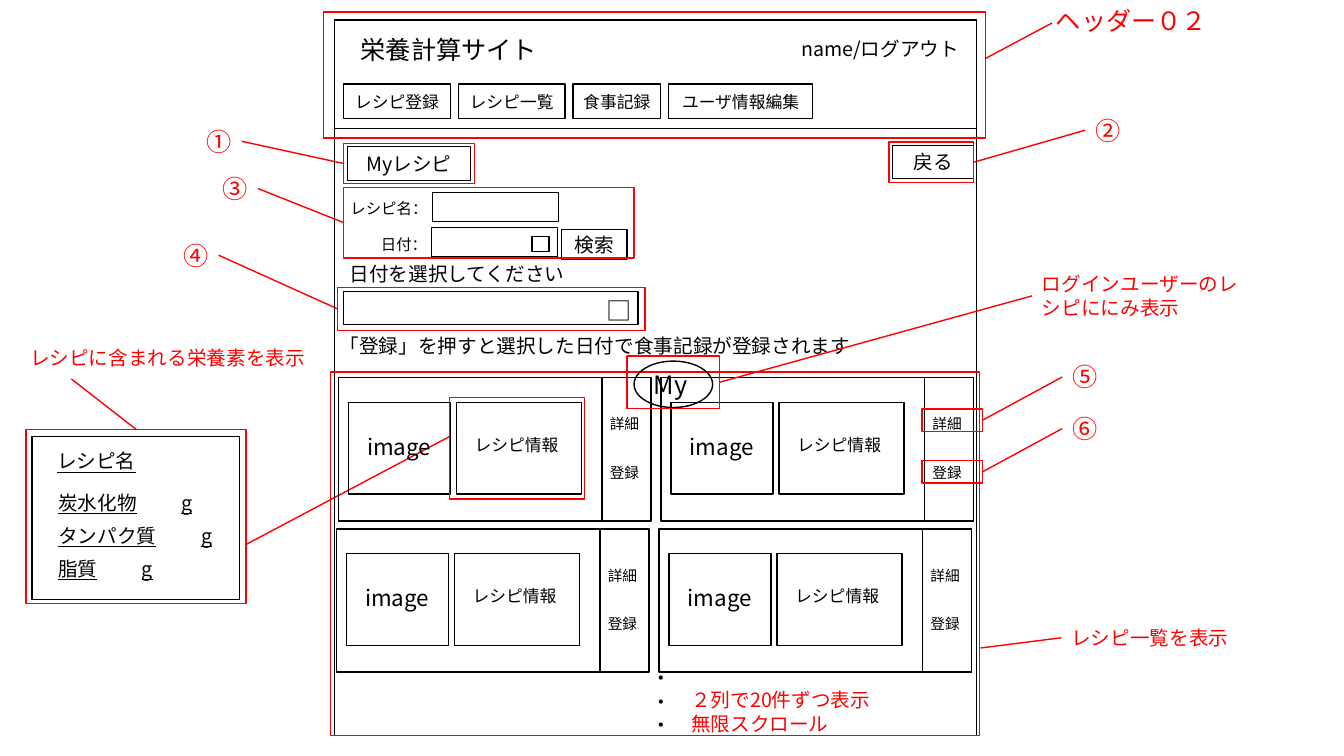
import pptx
import pptx.util
import pptx.dml.color
import pptx.enum.shapes
import pptx.enum.text
import pptx.oxml.ns
import lxml.etree

Cm, Pt = pptx.util.Cm, pptx.util.Pt
KIND = pptx.enum.shapes.MSO_SHAPE
ALIGN = pptx.enum.text.PP_ALIGN
FACE = "Noto Sans CJK JP"
INK, RED = "000000", "FF0000"
LEFT, RIGHT = 1, 3

deck = pptx.Presentation()
deck.slide_width, deck.slide_height = Cm(33.87), Cm(19.05)
slide = deck.slides.add_slide(deck.slide_layouts[6])


def paint(form, tone):
    form.rgb = pptx.dml.color.RGBColor.from_string(tone)


def style(target, values):
    for key, value in values.items():
        setattr(target, key, value)


def child(parent, tag, **attrs):
    return lxml.etree.SubElement(parent, pptx.oxml.ns.qn(tag), **attrs)


def place(box, x, y, w, h):
    """Lengths for a part set at x, y inside a box."""
    return [Cm(n) for n in (box[0] + x, box[1] + y, w, h)]


def write(frame, text, size, tone=INK, align=ALIGN.LEFT, under=None):
    for i, line in enumerate(text.split("\n")):
        para = frame.paragraphs[0] if i == 0 else frame.add_paragraph()
        para.alignment = align
        run = para.add_run()
        run.text = line
        style(run.font, {"name": FACE, "size": Pt(size), "underline": under})
        paint(run.font.color, tone)
        child(run.font._element, "a:ea", typeface=FACE)


def shape(box, x, y, w, h, tone=INK, kind=KIND.RECTANGLE):
    item = slide.shapes.add_shape(kind, *place(box, x, y, w, h))
    item.shadow.inherit = False
    item.fill.background()
    item.line.width = Pt(1)
    paint(item.line.color, tone)
    return item


def button(box, x, y, w, h, text, size=14):
    item = shape(box, x, y, w, h)
    item.text_frame.vertical_anchor = pptx.enum.text.MSO_ANCHOR.MIDDLE
    write(item.text_frame, text, size, align=ALIGN.CENTER)


def label(box, x, y, w, h, text, size=14, tone=INK, wrap=True, under=None):
    item = slide.shapes.add_textbox(*place(box, x, y, w, h))
    style(item.text_frame, {
        "word_wrap": wrap,
        "auto_size": pptx.enum.text.MSO_AUTO_SIZE.SHAPE_TO_FIT_TEXT})
    write(item.text_frame, text, size, tone, under=under)
    return item


def link(box, start=(0, 0), stop=(0, 0), head=None, tail=None):
    """Red line; head and tail are (shape, side) joints."""
    ends = [Cm(box[i] + point[i]) for point in (start, stop) for i in (0, 1)]
    line = slide.shapes.add_connector(
        pptx.enum.shapes.MSO_CONNECTOR.STRAIGHT, *ends)
    line.line.width = Pt(1)
    paint(line.line.color, RED)
    child(line._element.spPr, "a:effectLst")
    if head:
        line.begin_connect(*head)
    if tail:
        line.end_connect(*tail)


def mark(box, w, h, sign, x, y, side):
    """Red frame joined to its numbered sign."""
    frame = shape(box, 0, 0, w, h, RED)
    note = label(box, x, y, 1.14, 1.02, sign, 18, RED, wrap=False)
    link(box, head=(frame, side), tail=(note, LEFT + RIGHT - side))


# Site header with menu
def header(box):
    shape(box, 0.28, 0.2, 16.18, 2.74)
    label(box, 0.69, 0.43, 5.08, 1.02, "栄養計算サイト", 18)
    label(box, 11.79, 0.51, 4.75, 0.86, "name/ログアウト")
    x = 0.51
    for text, w in (("レシピ登録", 2.69), ("レシピ一覧", 2.69),
                    ("食事記録", 2.21), ("ユーザ情報編集", 3.63)):
        button(box, x, 1.82, w, 0.87, text, 12)
        x += w + 0.2
    shape(box, 0, 0, 16.69, 3.18, RED)
    link(box, (16.69, 1.17), (18.36, 0.28))
    label(box, 18.21, -0.28, 4.37, 1.02, "ヘッダー０２", 18, RED, wrap=False)


# Buttons below the header
def mine(box):
    button(box, 0.1, 0.08, 3.1, 0.86, "Myレシピ")
    mark(box, 3.3, 1.02, "①", -3.71, -0.56, LEFT)


def back(box):
    button(box, 0.1, 0.08, 2.03, 0.84, "戻る")
    mark(box, 2.13, 1.02, "②", 4.95, -0.81, RIGHT)


# Search form
def search(box):
    label(box, -0.08, 0.18, 2.74, 0.74, "レシピ名：", 11)
    label(box, 0.69, 1.07, 2.06, 0.66, "日付：", 11)
    shape(box, 2.24, 0.13, 3.18, 0.74)
    shape(box, 2.21, 1.02, 3.18, 0.74)
    shape(box, 4.75, 1.24, 0.43, 0.38)
    button(box, 5.49, 1.07, 1.65, 0.74, "検索")
    mark(box, 7.32, 1.78, "③", -3.3, -0.48, LEFT)


# Date picker
def picker(box):
    label(box, 0.05, -0.76, 6.78, 0.86, "日付を選択してください")
    shape(box, 0.15, 0.1, 7.42, 0.84)
    label(box, 6.53, 0.08, 1.14, 1.02, "□", 18, wrap=False)
    mark(box, 7.75, 1.09, "④", -4.14, -1.32, LEFT)
    label(box, -0.2, 1.04, 13.46, 0.86,
          "「登録」を押すと選択した日付で食事記録が登録されます")


# One recipe card
def card(box):
    shape(box, 0, 0, 7.87, 3.61)
    shape(box, 0.25, 0.62, 2.57, 2.31)
    shape(box, 2.97, 0.62, 3.15, 2.31)
    shape(box, 6.64, 0, 1.24, 3.61)
    label(box, 0.47, 1.27, 2.18, 1.14, "image", 16)
    label(box, 3.18, 1.31, 2.92, 0.76, "レシピ情報", 12)
    for y, text in ((0.82, "詳細"), (2.04, "登録")):
        label(box, 6.59, y, 1.27, 0.71, text, 10.5, wrap=False)


# Recipe list with its notes
def recipes(box):
    shape(box, 0, 0, 16.36, 9.17, RED)
    for row in range(2):
        for col in range(2):
            card((box[0] + 0.2 + 8.13 * col - 0.05 * row,
                  box[1] + 0.15 + 3.81 * row))
    shape(box, 3, 0.64, 3.4, 2.57, RED)
    label(box, 7.85, 7.29, 1.17, 2.06, "・\n・\n・")
    label(box, 8.84, 7.85, 6.53, 1.45,
          "２列で20件ずつ表示\n無限スクロール", tone=RED)
    for i, sign in enumerate("⑤⑥"):
        mark((box[0] + 14.91, box[1] + 0.94 + 1.3 * i),
             1.52, 0.56, sign, 3.53, -1.32, RIGHT)
    note = label(box, 18.42, 6.27, 5.56, 0.86, "レシピ一覧を表示", tone=RED)
    link(box, (16.38, 6.96), tail=(note, LEFT))


# Badge on the user's own recipes
def badge(box):
    label(box, 0.43, 0.2, 1.42, 1.02, "My", 18, wrap=False)
    shape(box, 0.18, 0.13, 1.98, 1.17, kind=KIND.OVAL)
    frame = shape(box, 0, 0, 2.34, 1.32, RED)
    note = label(box, 10.21, -2.24, 5.56, 1.45,
                 "ログインユーザーのレシピににみ表示", tone=RED)
    link(box, head=(frame, RIGHT), tail=(note, LEFT))


# Nutrient detail
def detail(box):
    label(box, -0.15, -2.24, 7.98, 0.86, "レシピに含まれる栄養素を表示", tone=RED)
    shape(box, 0.15, 0.18, 5.23, 4.11)
    frame = shape(box, 0, 0, 5.54, 4.39, RED)
    label(box, 0.53, 0.38, 4.75, 0.86, "レシピ名", under=True)
    rows = (("炭水化物", 3.1), ("タンパク質", 3.6), ("脂質", 2.1))
    for i, (text, stop) in enumerate(rows):
        item = label(box, 0.56, 1.42 + 0.83 * i, 4.72, 0.86,
                     text + "\tg", under=True)
        props = item.text_frame.paragraphs[0]._p.get_or_add_pPr()
        child(child(props, "a:tabLst"), "a:tab", pos=str(Cm(stop)), algn="l")
    link(box, (1.14, -1.27), tail=(frame, 0))
    link(box, (5.54, 2.9), (10.67, 0.18))


shape((0, 0), 8.43, 0.51, 16.18, 18.03)  # page outline
detail((0.66, 10.82))
recipes((8.33, 9.37))
picker((8.51, 7.24))
search((8.66, 4.72))
header((8.15, 0.3))
mine((8.66, 3.61))
badge((15.8, 8.97))
back((22.4, 3.58))
deck.save("out.pptx")
